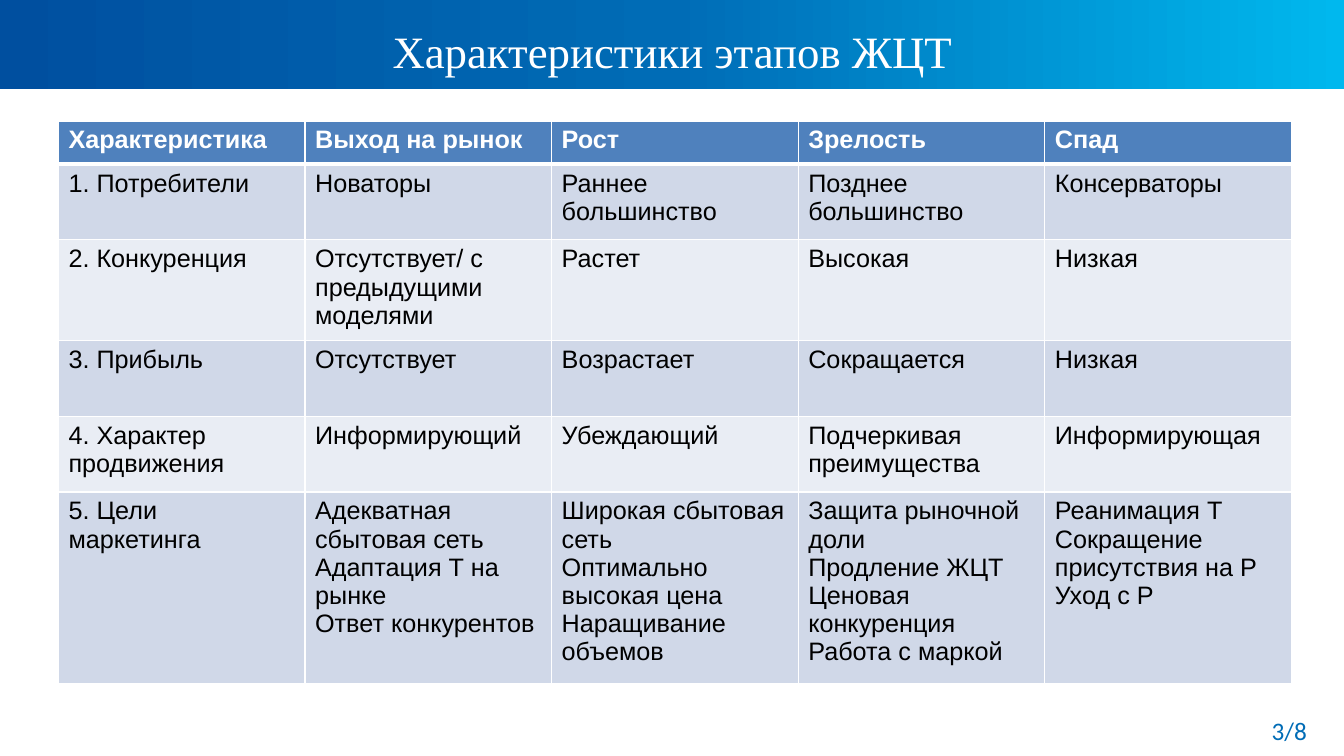
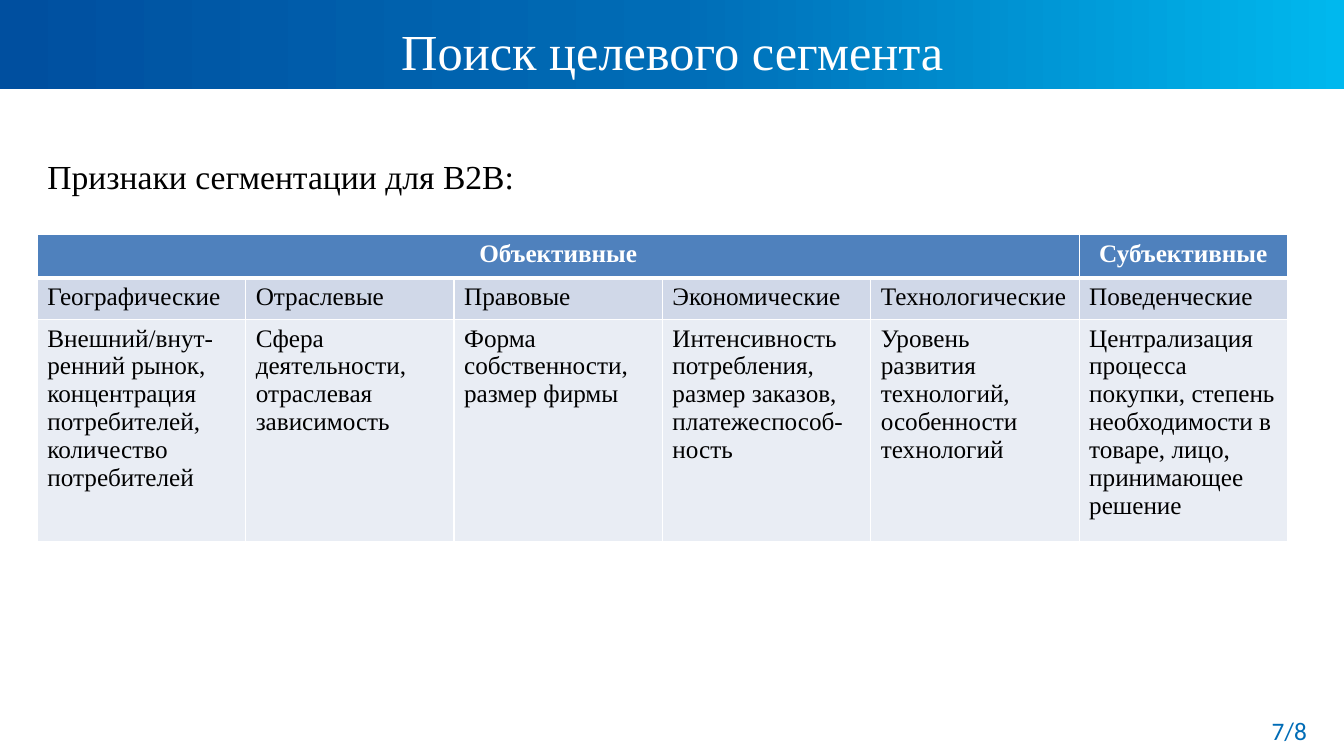
from copy import deepcopy
from dataclasses import dataclass

from lxml.etree import SubElement
from pptx import Presentation
from pptx.dml.color import RGBColor
from pptx.enum.shapes import MSO_SHAPE as Form
from pptx.enum.text import MSO_ANCHOR as Anchor, MSO_AUTO_SIZE as Fit, PP_ALIGN as Align
from pptx.oxml.ns import qn
from pptx.slide import Slide
from pptx.table import _Cell as Cell
from pptx.text.text import TextFrame
from pptx.util import Inches, Pt

WHITE, BLACK, BLUE = "FFFFFF", "000000", "006CB6"
HEAD, ODD, EVEN = "4F81BD", "D0D8E8", "E9EDF4"
BAND = ((0, "004F9F"), (0.5, BLUE), (1, "00B8EE"))
SERIF, SANS, PLAIN = "Times New Roman", "Arial", "Calibri"
PAGES = 8


@dataclass
class Box:
    left: float
    top: float
    width: float
    height: float

    def place(self) -> tuple:
        return tuple(Inches(v) for v in (self.left, self.top, self.width, self.height))


@dataclass
class Grid:
    box: Box
    heights: list[float]
    rows: list[list[str]]
    font: str
    align: Align = Align.LEFT
    span: int = 1


@dataclass
class Page:
    number: int
    title: str
    size: int
    grid: Grid
    lead: str = ""


STAGES = Grid(
    Box(0.58, 1.2, 12.23, 5.41),
    [0.43, 0.75, 0.95, 0.75, 0.75, 1.78],
    [
        ["Характеристика", "Выход на рынок", "Рост", "Зрелость", "Спад"],
        ["1. Потребители", "Новаторы", "Раннее большинство", "Позднее большинство",
         "Консерваторы"],
        ["2. Конкуренция", "Отсутствует/ с предыдущими моделями", "Растет", "Высокая",
         "Низкая"],
        ["3. Прибыль", "Отсутствует", "Возрастает", "Сокращается", "Низкая"],
        ["4. Характер продвижения", "Информирующий", "Убеждающий",
         "Подчеркивая преимущества", "Информирующая"],
        ["5. Цели маркетинга",
         "Адекватная сбытовая сеть\nАдаптация Т на рынке\nОтвет конкурентов",
         "Широкая сбытовая сеть\nОптимально высокая цена\nНаращивание объемов",
         "Защита рыночной доли\nПродление ЖЦТ\nЦеновая конкуренция\nРабота с маркой",
         "Реанимация Т\nСокращение присутствия на Р\nУход с Р"],
    ],
    SANS,
)

SIGNS = Grid(
    Box(0.37, 2.33, 12.4, 2.87),
    [0.43, 0.41, 2.03],
    [
        ["Объективные", "", "", "", "", "Субъективные"],
        ["Географические", "Отраслевые", "Правовые", "Экономические",
         "Технологические", "Поведенческие"],
        ["Внешний/внут-ренний рынок, концентрация потребителей, количество потребителей",
         "Сфера деятельности, отраслевая зависимость",
         "Форма собственности, размер фирмы",
         "Интенсивность потребления, размер заказов, платежеспособ-ность",
         "Уровень развития технологий, особенности технологий",
         "Централизация процесса покупки, степень необходимости в товаре, лицо, "
         "принимающее решение"],
    ],
    SERIF,
    Align.CENTER,
    5,
)

DECK = [
    Page(3, "Характеристики этапов ЖЦТ", 32, STAGES),
    Page(7, "Поиск целевого сегмента", 36, SIGNS, "Признаки сегментации для B2B:"),
]


def tint(hue: str) -> RGBColor:
    return RGBColor.from_string(hue)


def write(frame: TextFrame, text: str, font: str, size: int, hue: str,
          align: Align = Align.LEFT, bold: bool = False) -> None:
    frame.text = text
    frame.word_wrap = True
    for par in frame.paragraphs:
        par.alignment = align
        for run in par.runs:
            run.font.name = font
            run.font.size = Pt(size)
            run.font.bold = bold
            run.font.color.rgb = tint(hue)


def move(shape, box: Box) -> None:
    shape.left, shape.top, shape.width, shape.height = box.place()


def add_band(slide: Slide) -> None:
    band = slide.shapes.add_shape(Form.RECTANGLE, *Box(0, 0, 13.33, 0.88).place())
    band.shadow.inherit = False
    band.line.fill.background()
    band.fill.gradient()
    band.fill.gradient_angle = 0
    stops = band.element.find(".//" + qn("a:gsLst"))
    stops.insert(1, deepcopy(stops[0]))
    for stop, (spot, hue) in zip(band.fill.gradient_stops, BAND):
        stop.position = spot
        stop.color.rgb = tint(hue)
    slide.shapes.title.element.addprevious(band.element)


def add_title(slide: Slide, page: Page) -> None:
    title = slide.shapes.title
    move(title, Box(0.37, 0.13, 12.6, 0.74))
    write(title.text_frame, page.title, SERIF, page.size, WHITE, Align.CENTER)
    title.text_frame.auto_size = Fit.NONE
    title.text_frame.vertical_anchor = Anchor.MIDDLE


def add_lead(slide: Slide, text: str) -> None:
    body = slide.placeholders[1]
    move(body, Box(0.37, 1.5, 12.6, 0.6))
    write(body.text_frame, text, SERIF, 24, BLACK)
    body.text_frame.auto_size = Fit.NONE
    par = body.text_frame.paragraphs[0]
    par.space_before = Pt(0)
    props = par.runs[0].font and par._p.get_or_add_pPr()
    props.set("marL", "0")
    props.set("indent", "0")
    SubElement(props, qn("a:buNone"))


def add_count(slide: Slide, number: int) -> None:
    count = slide.shapes.add_textbox(*Box(12.16, 7.05, 0.9, 0.4).place())
    write(count.text_frame, f"{number}/{PAGES}", PLAIN, 18, BLUE, Align.RIGHT)


def edge(cell: Cell, row: int) -> None:
    props = cell._tc.get_or_add_tcPr()
    widths = {"L": 1, "R": 1, "T": 3 if row == 1 else 1, "B": 3 if row == 0 else 1}
    for side, width in widths.items():
        line = SubElement(props, qn(f"a:ln{side}"), w=str(Pt(width)))
        fill = SubElement(line, qn("a:solidFill"))
        SubElement(fill, qn("a:srgbClr"), val=WHITE)


def add_grid(slide: Slide, grid: Grid) -> None:
    cols = len(grid.rows[0])
    table = slide.shapes.add_table(len(grid.rows), cols, *grid.box.place()).table
    for col in table.columns:
        col.width = Inches(grid.box.width / cols)
    for row, (height, texts) in enumerate(zip(grid.heights, grid.rows)):
        table.rows[row].height = Inches(height)
        top = row == 0
        for col, text in enumerate(texts):
            cell = table.cell(row, col)
            edge(cell, row)
            cell.fill.solid()
            cell.fill.fore_color.rgb = tint(HEAD if top else ODD if row % 2 else EVEN)
            write(cell.text_frame, text, grid.font, 18, WHITE if top else BLACK,
                  grid.align if top else Align.LEFT, top)
    if grid.span > 1:
        table.cell(0, 0).merge(table.cell(0, grid.span - 1))


def main() -> None:
    deck = Presentation()
    deck.slide_width, deck.slide_height = Inches(13.33), Inches(7.5)
    for page in DECK:
        slide = deck.slides.add_slide(deck.slide_layouts[1 if page.lead else 5])
        add_band(slide)
        add_title(slide, page)
        add_count(slide, page.number)
        if page.lead:
            add_lead(slide, page.lead)
        add_grid(slide, page.grid)
    deck.save("out.pptx")


if __name__ == "__main__":
    main()
